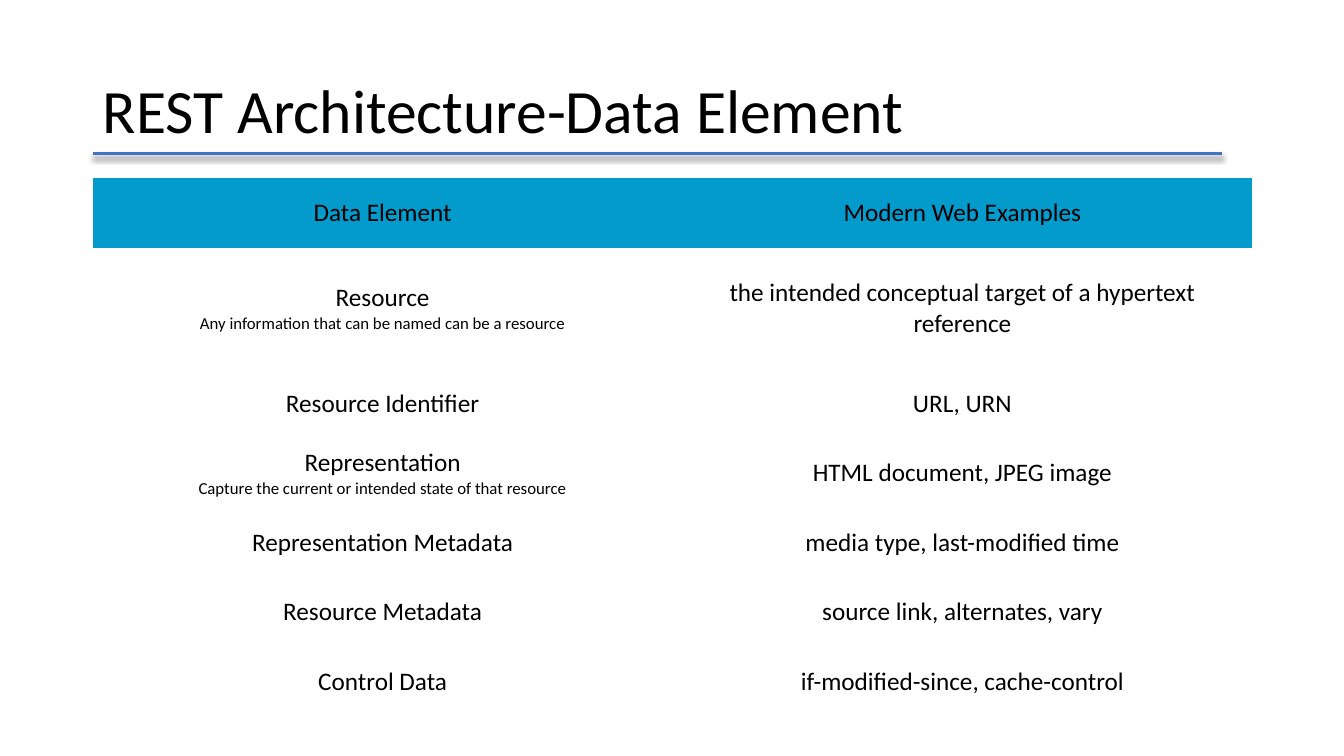
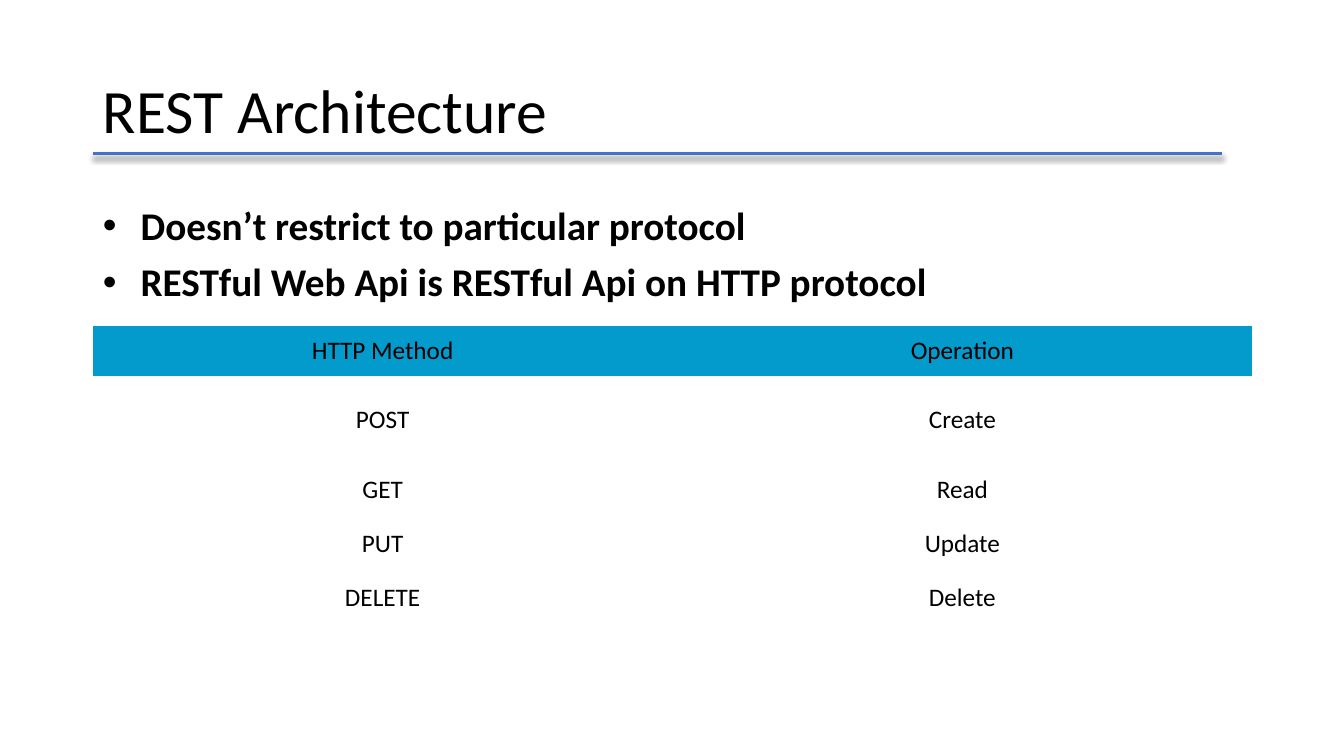
from lxml import etree
from pptx import Presentation
from pptx.dml.color import RGBColor
from pptx.enum.shapes import MSO_CONNECTOR
from pptx.enum.text import MSO_ANCHOR, MSO_AUTO_SIZE, PP_ALIGN
from pptx.oxml.ns import qn
from pptx.util import Pt

PX = 9144  # EMU in one px, at 100 px to the inch
LEFT, WIDE = 92, 1150
FONT = "Calibri"
HUES = {"text": "000000", "head": "039ACC", "rule": "4472C4", "shade": "000000"}
NO_STYLE = "{2D5ABB26-0587-4C30-8999-92F81FD0307C}"
TITLE_BODY, TITLE_ONLY = 1, 5
STRAIGHT = MSO_CONNECTOR.STRAIGHT
TOP, MIDDLE = MSO_ANCHOR.TOP, MSO_ANCHOR.MIDDLE
START, CENTER = PP_ALIGN.LEFT, PP_ALIGN.CENTER
FIXED = MSO_AUTO_SIZE.NONE

DATA = [
    ("Data Element", "Modern Web Examples"),
    ("Resource\nAny information that can be named can be a resource",
     "the intended conceptual target of a hypertext reference"),
    ("Resource Identifier", "URL, URN"),
    ("Representation\nCapture the current or intended state of that resource",
     "HTML document, JPEG image"),
    ("Representation Metadata", "media type, last-modified time"),
    ("Resource Metadata", "source link, alternates, vary"),
    ("Control Data", "if-modified-since, cache-control"),
]
VERBS = [
    ("HTTP Method", "Operation"),
    ("POST", "Create"),
    ("GET", "Read"),
    ("PUT", "Update"),
    ("DELETE", "Delete"),
    ("", ""),
    ("", ""),
]
POINTS = [
    "Doesn’t restrict to particular protocol",
    "RESTful Web Api is RESTful Api on HTTP protocol",
]


def hue(name):
    return RGBColor.from_string(HUES[name])


class Deck:
    """Holds the shared style and the slide being filled."""

    def __init__(self):
        self.prs = Presentation()
        self.prs.slide_width, self.prs.slide_height = 1333 * PX, 750 * PX
        self.slide = None

    def page(self, title, layout):
        """Start a slide with the shared title and the rule below it."""
        self.slide = self.prs.slides.add_slide(self.prs.slide_layouts[layout])
        self.fill(self.slide.shapes.title, (LEFT, 40, WIDE, 145), [title], 44, MIDDLE)
        self.rule(152, 1120)

    def style(self, para, size, align, bold=False):
        para.alignment = align
        font = para.font
        font.name, font.size, font.bold = FONT, Pt(size), bold
        font.color.rgb = hue("text")

    def fill(self, shape, box, lines, size, anchor, bold=False, gap=0):
        """Move a placeholder to its box and set its lines."""
        shape.left, shape.top, shape.width, shape.height = (n * PX for n in box)
        frame = shape.text_frame
        frame.text = "\n".join(lines)
        frame.word_wrap = True
        frame.auto_size = FIXED
        frame.vertical_anchor = anchor
        for para in frame.paragraphs:
            self.style(para, size, START, bold)
            para.line_spacing = 0.9
            para.space_before = Pt(gap)

    def bullets(self, box, lines):
        self.fill(self.slide.placeholders[1], box, lines, 28, TOP, True, 10)

    def rule(self, top, wide):
        """Draw a line with a soft shadow straight below it."""
        line = self.slide.shapes.add_connector(
            STRAIGHT, LEFT * PX, top * PX, (LEFT + wide) * PX, top * PX)
        line.line.color.rgb = hue("rule")
        line.line.width = Pt(2.25)
        effects = etree.SubElement(line._element.spPr, qn("a:effectLst"))
        shade = etree.SubElement(
            effects, qn("a:outerShdw"), blurRad=str(Pt(4)), dist=str(Pt(3)),
            dir="5400000", algn="t", rotWithShape="0")
        tint = etree.SubElement(shade, qn("a:srgbClr"), val=HUES["shade"])
        etree.SubElement(tint, qn("a:alpha"), val="40000")

    def table(self, top, rows, highs):
        """Add a plain table; the second line of a cell is a small note."""
        cols = len(rows[0])
        table = self.slide.shapes.add_table(
            len(rows), cols, LEFT * PX, top * PX, WIDE * PX, sum(highs) * PX).table
        table.first_row = table.horz_banding = False
        table._tbl.tblPr.find(qn("a:tableStyleId")).text = NO_STYLE
        for i, (row, high) in enumerate(zip(rows, highs)):
            table.rows[i].height = high * PX
            for j, text in enumerate(row):
                self.cell(table.cell(i, j), text, i == 0)

    def cell(self, cell, text, head):
        cell.text = text
        cell.vertical_anchor = MIDDLE
        for n, para in enumerate(cell.text_frame.paragraphs):
            self.style(para, 12 if n else 18, CENTER)
        if head:
            cell.fill.solid()
            cell.fill.fore_color.rgb = hue("head")
        else:
            cell.fill.background()


def main():
    deck = Deck()
    deck.page("REST Architecture-Data Element", TITLE_ONLY)
    deck.table(177, DATA, [69, 120] + [69] * 5)

    deck.page("REST Architecture", TITLE_BODY)
    deck.bullets((LEFT, 200, 846, 109), POINTS)
    deck.table(323, VERBS, [50, 87, 53, 54, 53, 49, 49])
    deck.prs.save("out.pptx")


if __name__ == "__main__":
    main()
